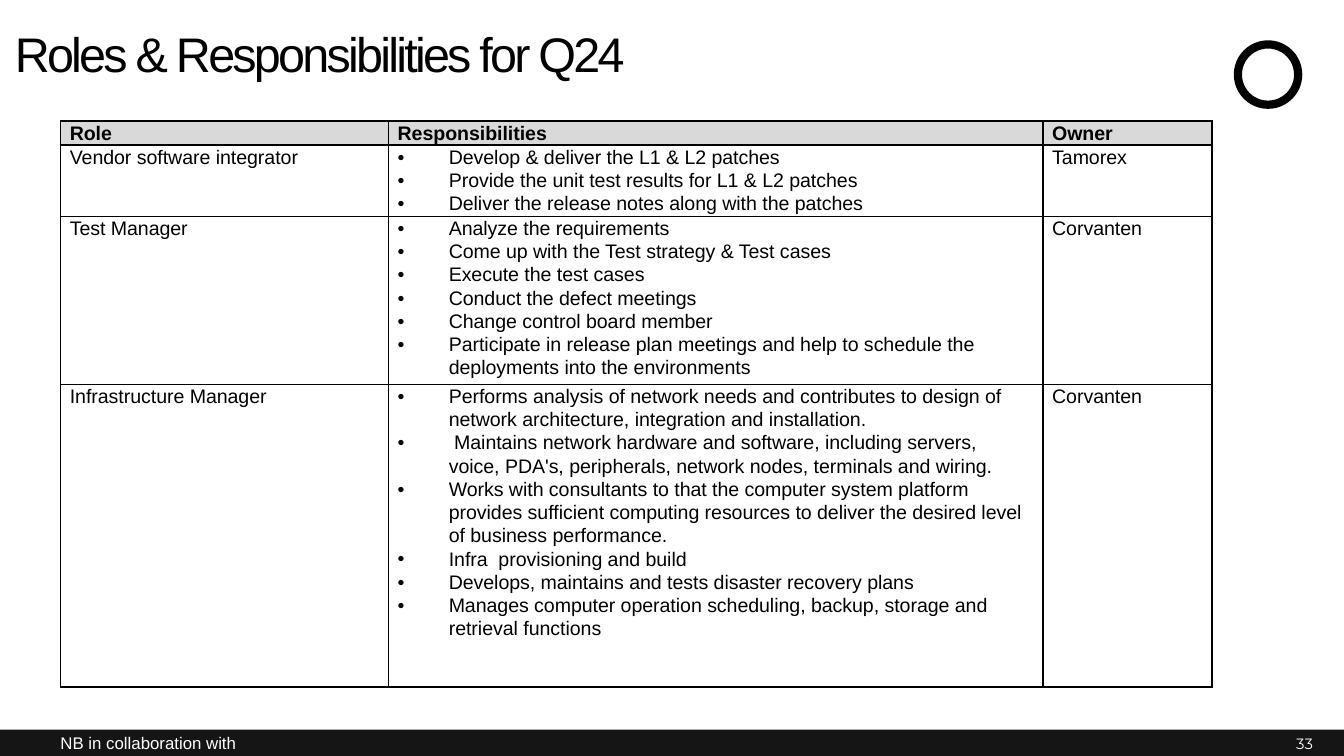
import pptx
import pptx.util
import pptx.dml.color
import pptx.enum.shapes
import pptx.enum.text
import pptx.oxml
import pptx.oxml.ns

Inches = pptx.util.Inches
Pt = pptx.util.Pt
Align = pptx.enum.text.PP_ALIGN
Anchor = pptx.enum.text.MSO_ANCHOR
Shape = pptx.enum.shapes.MSO_SHAPE

TITLE = "Roles & Responsibilities for Q24"
FOOTER = "NB in collaboration with"
PAGE = "33"
HEADINGS = ["Role", "Responsibilities", "Owner"]
ROLES = [
    ("Vendor software integrator", [
        "Develop & deliver the L1 & L2 patches",
        "Provide the unit test results for L1 & L2 patches",
        "Deliver the release notes along with the patches",
    ], "Tamorex"),
    ("Test Manager", [
        "Analyze the requirements",
        "Come up with the Test strategy & Test cases",
        "Execute the test cases",
        "Conduct the defect meetings",
        "Change control board member",
        "Participate in release plan meetings and help to schedule the "
        "deployments into the environments",
    ], "Corvanten"),
    ("Infrastructure Manager", [
        "Performs analysis of network needs and contributes to design of "
        "network architecture, integration and installation.",
        " Maintains network hardware and software, including servers, voice, "
        "PDA's, peripherals, network nodes, terminals and wiring.",
        "Works with consultants to that the computer system platform provides "
        "sufficient computing resources to deliver the desired level of "
        "business performance.",
        "Infra  provisioning and build",
        "Develops, maintains and tests disaster recovery plans",
        "Manages computer operation scheduling, backup, storage and retrieval functions",
    ], "Corvanten"),
]
SLIDE_WIDTH = Inches(10)
SLIDE_HEIGHT = SLIDE_WIDTH * 9 // 16
COLUMN_WIDTHS = [2.44, 4.87, 1.26]
ROW_HEIGHTS = [0.18, 0.53, 1.25, 2.25]
BULLET_INDENT = 0.38
FOOTER_TOP, FOOTER_HEIGHT = 5.43, 0.2

THEME = {
    "font": "Arial", "page_font": "Montserrat",
    "ink": "000000", "paper": "FFFFFF", "bar": "151515", "header": "D9D9D9",
    "title": 26, "body": 10.5, "footer": 9, "page": 8, "border": 1,
}


def rgb(name):
    return pptx.dml.color.RGBColor.from_string(THEME[name])


def style(paragraph, size, color="ink", font="font", bold=False):
    paragraph.font.name = THEME[font]
    paragraph.font.size = Pt(THEME[size])
    paragraph.font.color.rgb = rgb(color)
    paragraph.font.bold = bold


def box(frame, anchor):
    frame.margin_left = frame.margin_right = frame.margin_top = frame.margin_bottom = 0
    frame.word_wrap = True
    frame.auto_size = pptx.enum.text.MSO_AUTO_SIZE.NONE
    frame.vertical_anchor = anchor


def add_plain_shape(slide, kind, place, color):
    shape = slide.shapes.add_shape(kind, *map(Inches, place))
    shape.shadow.inherit = False
    shape.fill.solid()
    shape.fill.fore_color.rgb = rgb(color)
    shape.line.fill.background()
    return shape


def add_footer_text(slide, text, left, width, size, font, align):
    footer = slide.shapes.add_textbox(
        *map(Inches, (left, FOOTER_TOP, width, FOOTER_HEIGHT)))
    box(footer.text_frame, Anchor.MIDDLE)
    paragraph = footer.text_frame.paragraphs[0]
    paragraph.text = text
    paragraph.alignment = align
    style(paragraph, size, "paper", font)


def add_bullet(paragraph):
    properties = paragraph._p.get_or_add_pPr()
    properties.set("marL", str(Inches(BULLET_INDENT)))
    properties.set("indent", str(-Inches(BULLET_INDENT)))
    for part in (f'buFont {{}} typeface="{THEME["font"]}"', 'buChar {} char="•"'):
        element = pptx.oxml.parse_xml(
            f'<a:{part.format(pptx.oxml.ns.nsdecls("a"))}/>')
        properties.insert_element_before(element, "a:tabLst", "a:defRPr", "a:extLst")


def add_borders(cell):
    properties = cell._tc.get_or_add_tcPr()
    for place, side in enumerate(("lnL", "lnR", "lnT", "lnB")):
        properties.insert(place, pptx.oxml.parse_xml(
            f'<a:{side} {pptx.oxml.ns.nsdecls("a")} w="{Pt(THEME["border"])}">'
            f'<a:solidFill><a:srgbClr val="{THEME["ink"]}"/></a:solidFill></a:{side}>'))


def fill_cell(cell, content, header):
    cell.margin_left = cell.margin_right = Inches(0.07)
    cell.margin_top = cell.margin_bottom = 0
    if header:
        cell.fill.solid()
        cell.fill.fore_color.rgb = rgb("header")
    else:
        cell.fill.background()
    add_borders(cell)
    bulleted = isinstance(content, list)
    lines = content if bulleted else [content]
    cell.text = "\n".join(lines)
    for paragraph in cell.text_frame.paragraphs:
        paragraph.line_spacing = 1.07
        style(paragraph, "body", bold=header)
        if bulleted:
            add_bullet(paragraph)


def add_roles_table(slide):
    rows = [HEADINGS, *ROLES]
    table = slide.shapes.add_table(
        len(rows), len(HEADINGS), Inches(0.45), Inches(0.9),
        Inches(sum(COLUMN_WIDTHS)), Inches(sum(ROW_HEIGHTS))).table
    table.first_row = table.horz_banding = False
    for column, width in zip(table.columns, COLUMN_WIDTHS):
        column.width = Inches(width)
    for row, height in zip(table.rows, ROW_HEIGHTS):
        row.height = Inches(height)
    for r, contents in enumerate(rows):
        for c, content in enumerate(contents):
            fill_cell(table.cell(r, c), content, header=r == 0)


def add_title(slide):
    title = slide.shapes.title
    title.left, title.top, title.width, title.height = map(
        Inches, (0.11, 0.18, 8.53, 0.61))
    box(title.text_frame, Anchor.TOP)
    paragraph = title.text_frame.paragraphs[0]
    paragraph.text = TITLE
    paragraph.alignment = Align.LEFT
    style(paragraph, "title")
    paragraph.runs[0].font._element.set("spc", "-150")


def main():
    deck = pptx.Presentation()
    deck.slide_width, deck.slide_height = SLIDE_WIDTH, SLIDE_HEIGHT
    slide = deck.slides.add_slide(deck.slide_layouts[5])
    add_plain_shape(slide, Shape.RECTANGLE, (0, FOOTER_TOP, 10, FOOTER_HEIGHT), "bar")
    add_footer_text(slide, FOOTER, 0.45, 6.89, "footer", "font", Align.LEFT)
    badge = add_plain_shape(slide, Shape.DONUT, (9.18, 0.3, 0.51, 0.51), "ink")
    badge.adjustments[0] = 0.12
    add_title(slide)
    add_footer_text(slide, PAGE, 9.16, 0.61, "page", "page_font", Align.RIGHT)
    add_roles_table(slide)
    deck.save("out.pptx")


if __name__ == "__main__":
    main()
